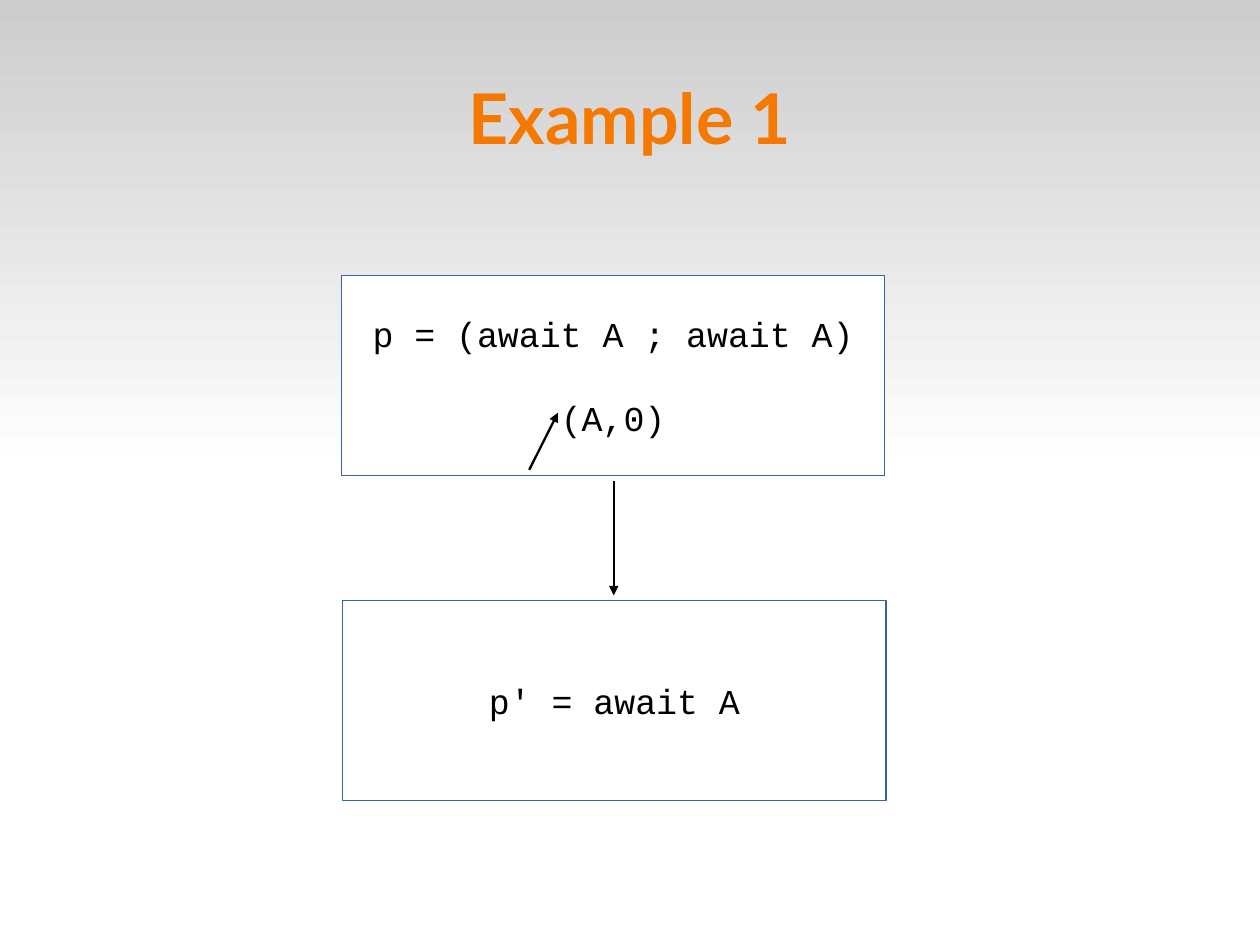
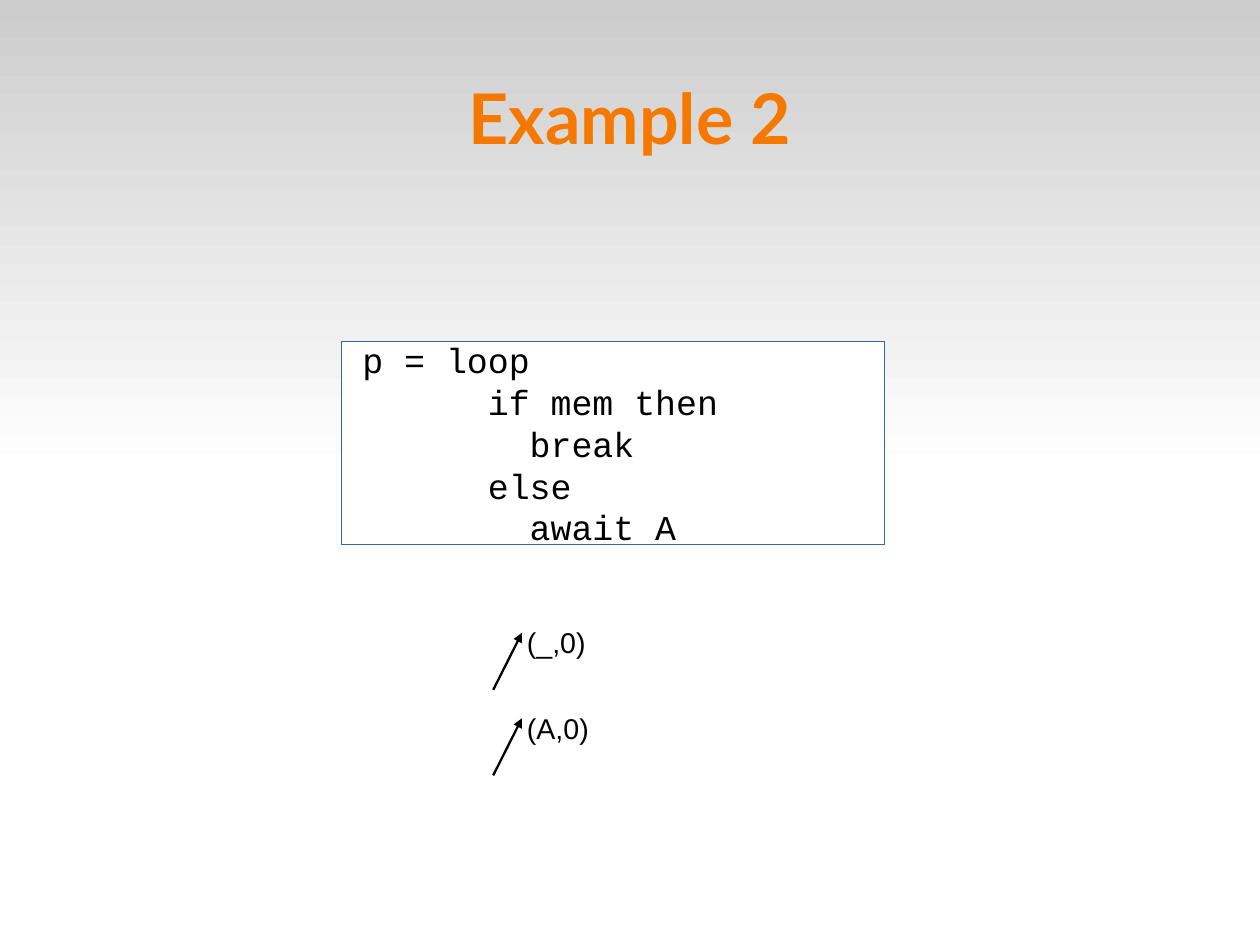
from dataclasses import dataclass

from lxml import etree
from pptx import Presentation
from pptx import util as u
from pptx.dml.color import RGBColor
from pptx.enum import shapes, text
from pptx.oxml import ns


@dataclass(frozen=True)
class Theme:
    title: RGBColor = RGBColor(0xF5, 0x79, 0x00)
    ink: RGBColor = RGBColor(0, 0, 0)
    paper: RGBColor = RGBColor(0xFF, 0xFF, 0xFF)
    border: RGBColor = RGBColor(0x34, 0x65, 0xA4)
    band: RGBColor = RGBColor(0xCC, 0xCC, 0xCC)
    title_font: str = "Lato"
    code_font: str = "Courier New"
    label_font: str = "Arial"
    title_size: int = 44
    code_size: int = 22
    label_size: int = 18
    arrow_width: float = 1.45


THEME = Theme()
WIDTH, HEIGHT = 28, 21
BOX_LEFT, BOX_WIDTH, BOX_HEIGHT = 7.59, 12.07, 4.45
EMIT_RUN, EMIT_RISE = 0.64, 1.27


def cm(*lengths):
    return [u.Cm(length) for length in lengths]


def write(shape, lines, font, size, color, align, bold=False, gap=0):
    """Fill a shape with one paragraph per line, gap points apart."""
    frame = shape.text_frame
    for index, line in enumerate(lines):
        paragraph = frame.add_paragraph() if index else frame.paragraphs[0]
        paragraph.text = line
        paragraph.alignment = align
        if index and gap:
            paragraph.space_before = u.Pt(gap)
        paragraph.font.name = font
        paragraph.font.size = u.Pt(size)
        paragraph.font.bold = bold
        paragraph.font.color.rgb = color


def center_frame(shape):
    """Wrap text, centre it vertically and drop the insets."""
    frame = shape.text_frame
    frame.word_wrap = True
    frame.vertical_anchor = text.MSO_ANCHOR.MIDDLE
    frame.margin_left = frame.margin_right = 0
    frame.margin_top = frame.margin_bottom = 0


def add_rectangle(slide, left, top, width, height):
    shape = slide.shapes.add_shape(
        shapes.MSO_SHAPE.RECTANGLE, *cm(left, top, width, height))
    shape.shadow.inherit = False
    return shape


def add_slide(presentation, title):
    """Blank slide with the shared gradient band and title."""
    slide = presentation.slides.add_slide(presentation.slide_layouts[6])
    band = add_rectangle(slide, 0, 0, WIDTH, HEIGHT / 2)
    band.line.fill.background()
    band.fill.gradient()
    band.fill.gradient_angle = 270
    for stop, color in zip(band.fill.gradient_stops, (THEME.band, THEME.paper)):
        stop.color.rgb = color
    box = slide.shapes.add_textbox(*cm(1.4, 0.84, WIDTH - 2.8, 3.5))
    center_frame(box)
    write(box, [title], THEME.title_font, THEME.title_size, THEME.title,
          text.PP_ALIGN.CENTER, bold=True)
    return slide


def add_code_box(slide, top, lines, left=BOX_LEFT, height=BOX_HEIGHT,
                 align=text.PP_ALIGN.CENTER, gap=0):
    box = add_rectangle(slide, left, top, BOX_WIDTH, height)
    box.fill.solid()
    box.fill.fore_color.rgb = THEME.paper
    box.line.color.rgb = THEME.border
    box.line.width = u.Pt(0)
    center_frame(box)
    write(box, lines, THEME.code_font, THEME.code_size, THEME.ink, align, gap=gap)


def add_arrow(slide, x1, y1, x2, y2):
    arrow = slide.shapes.add_connector(
        shapes.MSO_CONNECTOR.STRAIGHT, *cm(x1, y1, x2, y2))
    arrow.line.color.rgb = THEME.ink
    arrow.line.width = u.Pt(THEME.arrow_width)
    line = arrow.line._get_or_add_ln()
    etree.SubElement(line, ns.qn("a:tailEnd"), type="triangle")
    etree.SubElement(arrow._element.spPr, ns.qn("a:effectLst"))


def add_emit_arrow(slide, x, y):
    """Short slanted arrow that marks an emitted event."""
    add_arrow(slide, x, y, x + EMIT_RUN, y - EMIT_RISE)


def add_label(slide, left, top, label):
    box = slide.shapes.add_textbox(*cm(left, top, 2.2, 0.97))
    box.text_frame.word_wrap = True
    write(box, [label], THEME.label_font, THEME.label_size, THEME.ink,
          text.PP_ALIGN.LEFT)


def build_example_1(presentation):
    slide = add_slide(presentation, "Example 1")
    # Program before and after the step
    add_code_box(slide, 6.12, ["p = (await A ; await A)", "(A,0)"], gap=26)
    add_emit_arrow(slide, 11.76, 10.44)
    add_code_box(slide, 13.34, ["p' = await A"], left=7.62)
    add_arrow(slide, 13.64, 10.69, 13.64, 13.23)


def build_example_2(presentation):
    slide = add_slide(presentation, "Example 2")
    # Program
    code = [
        " p = loop",
        "       if mem then",
        "         break",
        "       else",
        "         await A",
    ]
    add_code_box(slide, 7.59, code, height=4.52, align=text.PP_ALIGN.LEFT)
    # Emitted events
    for row, event in enumerate(["(_,0)", "(A,0)"]):
        y = 15.33 + 1.9 * row
        add_emit_arrow(slide, 10.96, y)
        add_label(slide, 11.46, y - 1.56, event)


def main():
    presentation = Presentation()
    presentation.slide_width, presentation.slide_height = cm(WIDTH, HEIGHT)
    build_example_1(presentation)
    build_example_2(presentation)
    presentation.save("out.pptx")


if __name__ == "__main__":
    main()
